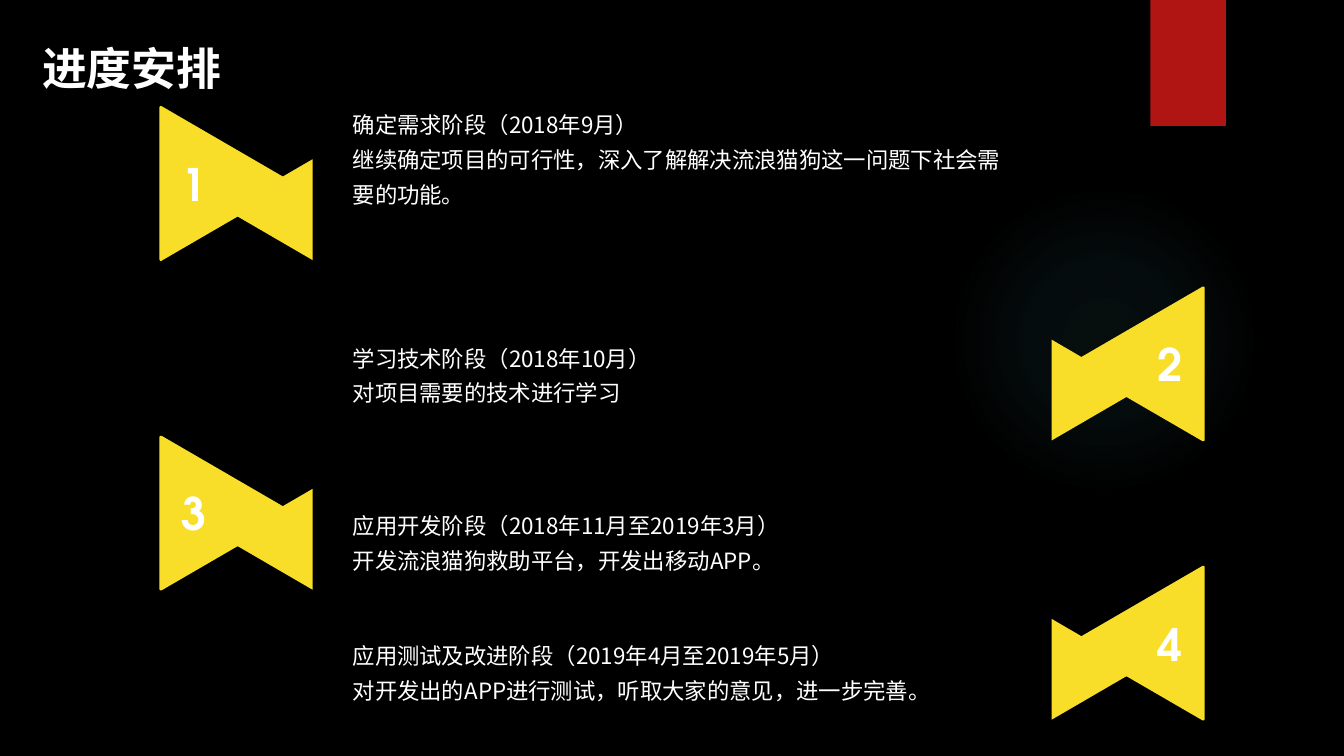
"""Build the project schedule slide with four numbered stages."""
from lxml import etree
from pptx import Presentation
from pptx.dml.color import RGBColor
from pptx.enum.shapes import MSO_SHAPE
from pptx.enum.text import MSO_ANCHOR, MSO_AUTO_SIZE, PP_ALIGN
from pptx.oxml import parse_xml
from pptx.oxml.ns import qn
from pptx.util import Inches, Pt

OVAL, RECT, TRI = MSO_SHAPE.OVAL, MSO_SHAPE.RECTANGLE, MSO_SHAPE.ISOSCELES_TRIANGLE
MIDDLE, CENTER = MSO_ANCHOR.MIDDLE, PP_ALIGN.CENTER
GROW = MSO_AUTO_SIZE.SHAPE_TO_FIT_TEXT
NS = "http://schemas.openxmlformats.org/drawingml/2006/main"

COLORS = {"back": "000000", "text": "FFFFFF", "bow": "F8DE28", "tab": "B01513", "glow": "50B9C1"}
HEAD, BODY = "TeX Gyre Adventor", "Noto Sans CJK SC"
TITLE = "进度安排"
STAGES = [
    (1.17, 0.97, 1.12, ["确定需求阶段（2018年9月）",
                        "继续确定项目的可行性，深入了解解决流浪猫狗这一问题下社会需要的功能。"]),
    (2.96, 3.29, 0.77, ["学习技术阶段（2018年10月）", "对项目需要的技术进行学习"]),
    (4.44, 4.95, 0.77, ["应用开发阶段（2018年11月至2019年3月）",
                        "开发流浪猫狗救助平台，开发出移动APP。"]),
    (5.73, 6.24, 0.77, ["应用测试及改进阶段（2019年4月至2019年5月）",
                        "对开发出的APP进行测试，听取大家的意见，进一步完善。"]),
]
SIDES = [
    {"big": 1.49, "small": 2.17, "turn": 90, "vert": "vert270"},
    {"big": 10.53, "small": 10.36, "turn": 270, "vert": "vert"},
]
GLOW = [(0, 7), (36, 6), (69, 0)]


def color(name):
    return RGBColor.from_string(COLORS[name])


def add_form(shapes, kind, box, fill=None, turn=0):
    form = shapes.add_shape(kind, *map(Inches, box))
    form.shadow.inherit = False
    form.line.fill.background()
    form.rotation = turn
    if fill:
        form.fill.solid()
        form.fill.fore_color.rgb = color(fill)
    return form


def add_run(para, text, size, face, bold=False):
    run = para.add_run()
    run.text = text
    font = run.font
    font.size, font.name, font.bold = Pt(size), face, bold
    font.color.rgb = color("text")
    east = etree.SubElement(font._element, qn("a:ea"))
    east.set("typeface", BODY)


def add_text(shapes, box, lines, size, face, bold=False, space=None):
    frame = shapes.add_textbox(*map(Inches, box)).text_frame
    frame.word_wrap = True
    frame.auto_size = GROW
    for i, line in enumerate(lines):
        para = frame.add_paragraph() if i else frame.paragraphs[0]
        para.line_spacing = space
        add_run(para, line, size, face, bold)


def add_glow(shapes):
    form = add_form(shapes, OVAL, (9.41, 1.83, 3.08, 3.08))
    stops = "".join(
        f'<a:gs pos="{pos * 1000}"><a:srgbClr val="{COLORS["glow"]}">'
        f'<a:alpha val="{alpha * 1000}"/></a:srgbClr></a:gs>' for pos, alpha in GLOW)
    grad = parse_xml(
        f'<a:gradFill xmlns:a="{NS}"><a:gsLst>{stops}</a:gsLst><a:path path="circle">'
        '<a:fillToRect l="50000" t="50000" r="50000" b="50000"/></a:path></a:gradFill>')
    form._element.spPr.find(qn("a:prstGeom")).addnext(grad)


def add_bow(shapes, num, top, side):
    group = shapes.add_group_shape().shapes
    turn = side["turn"]
    add_form(group, TRI, (side["small"], top + 0.48, 1, 0.86), "bow", 360 - turn)
    big = add_form(group, TRI, (side["big"], top, 1.51, 1.3), "bow", turn)
    big.line.color.rgb = color("bow")
    big.line.width = Pt(2)
    frame = big.text_frame
    frame.vertical_anchor = MIDDLE
    frame._txBody.bodyPr.set("vert", side["vert"])
    para = frame.paragraphs[0]
    para.alignment = CENTER
    add_run(para, str(num), 32, HEAD, True)


def main():
    deck = Presentation()
    deck.slide_width, deck.slide_height = Inches(13.33), Inches(7.5)
    slide = deck.slides.add_slide(deck.slide_layouts[6])
    slide.background.fill.solid()
    slide.background.fill.fore_color.rgb = color("back")
    shapes = slide.shapes
    add_glow(shapes)
    add_form(shapes, RECT, (11.41, 0, 0.75, 1.25), "tab")
    add_text(shapes, (0.32, 0.36, 6.43, 0.64), [TITLE], 32, HEAD, True)
    for i, (top, text_top, high, lines) in enumerate(STAGES):
        add_bow(shapes, i + 1, top, SIDES[i % 2])
        add_text(shapes, (3.4, text_top, 6.7, high), lines, 16, BODY, space=1.3)
    deck.save("out.pptx")


if __name__ == "__main__":
    main()
